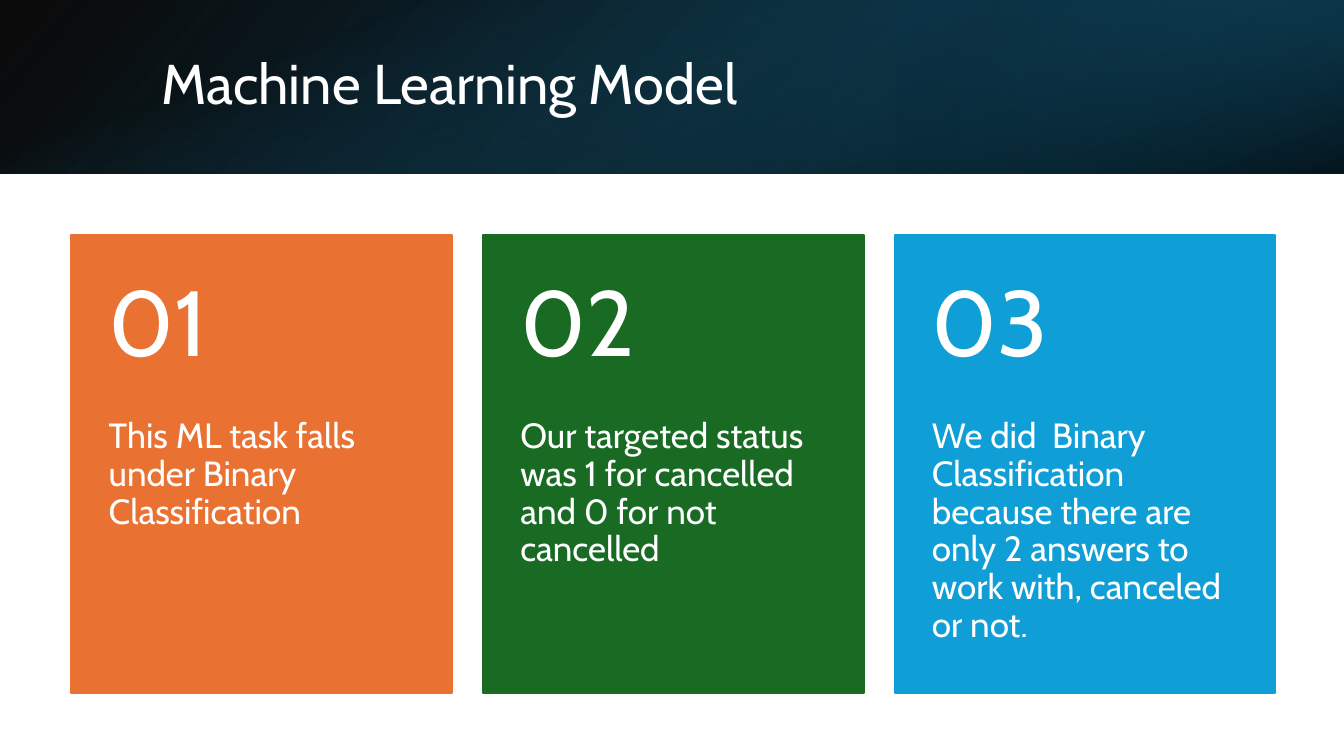
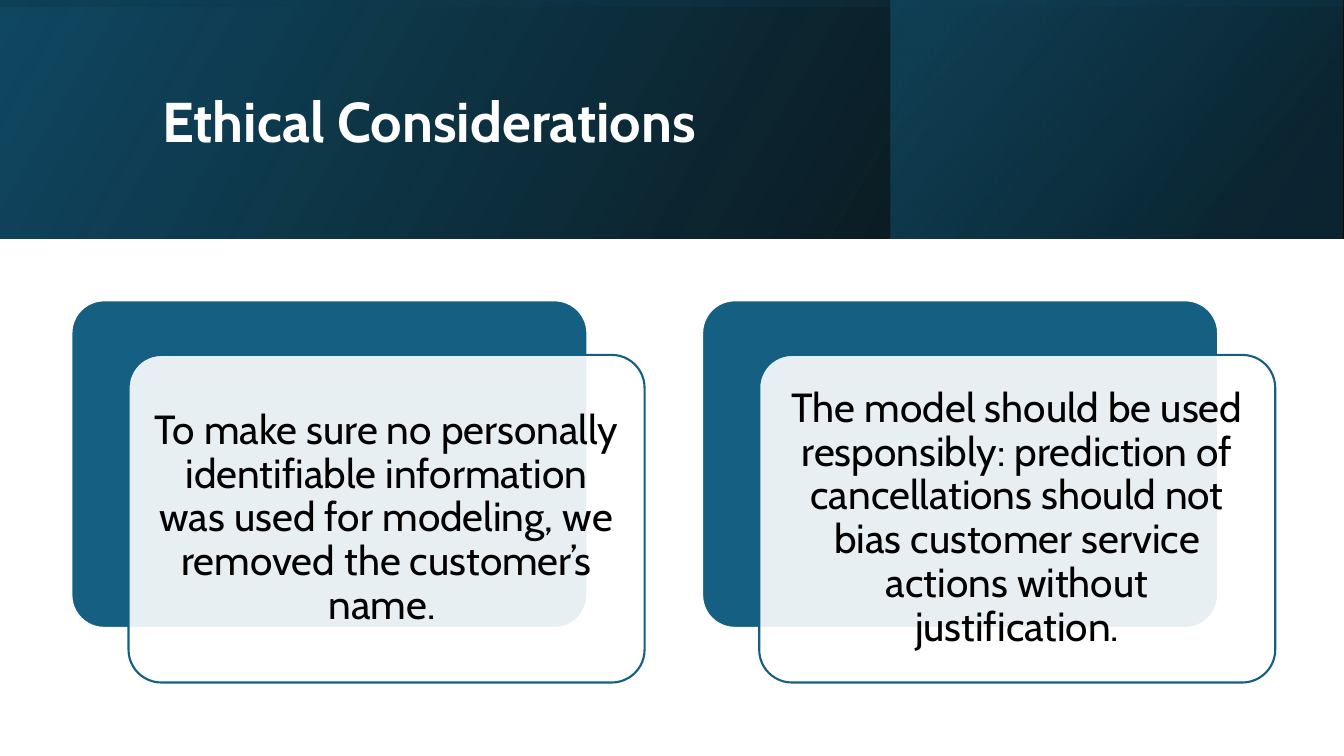
from collections import namedtuple

from lxml import etree
from pptx import Presentation
from pptx.dml.color import RGBColor
from pptx.enum import shapes, text
from pptx.oxml import ns
from pptx.util import Pt

Box = namedtuple("Box", "left top width height")
Blend = namedtuple("Blend", "stops angle")

FONT = "Cabin"
BLACK = RGBColor(0x00, 0x00, 0x00)
WHITE = RGBColor(0xFF, 0xFF, 0xFF)
NAVY = RGBColor(0x10, 0x48, 0x62)
DEEP = RGBColor(0x0B, 0x30, 0x41)
TEAL = RGBColor(0x15, 0x60, 0x82)
ORANGE = RGBColor(0xE9, 0x71, 0x32)
GREEN = RGBColor(0x19, 0x6B, 0x24)
BLUE = RGBColor(0x0F, 0x9E, 0xD5)

PAGE_WIDTH, PAGE_HEIGHT = 960, 540
MARGIN = 51

CARDS = [
    (ORANGE, "This ML task falls under Binary Classification"),
    (GREEN, "Our targeted status was 1 for cancelled and 0 for not cancelled"),
    (BLUE, "We did  Binary Classification because there are only 2 answers "
           "to work with, canceled or not."),
]
CONSIDERATIONS = [
    "To make sure no personally identifiable information was used for "
    "modeling, we removed the customer’s name. ",
    "The model should be used responsibly: prediction of cancellations should "
    "not bias customer service actions without justification.",
]


def in_points(box):
    """Return the four lengths of a box as Pt values."""
    return [Pt(length) for length in box]


def write(frame, words, size, color=WHITE, bold=False, align=text.PP_ALIGN.LEFT,
          anchor=text.MSO_ANCHOR.MIDDLE, insets=(7.2, 3.6, 7.2, 3.6)):
    """Fill a text frame with one formatted paragraph."""
    frame.word_wrap = True
    frame.auto_size = text.MSO_AUTO_SIZE.NONE
    frame.vertical_anchor = anchor
    (frame.margin_left, frame.margin_top,
     frame.margin_right, frame.margin_bottom) = in_points(insets)
    para = frame.paragraphs[0]
    para.alignment = align
    para.line_spacing = 0.9
    para.space_before = Pt(0)
    span = para.add_run()
    span.text = words
    span.font.name = FONT
    span.font.size = Pt(size)
    span.font.bold = bold
    span.font.color.rgb = color


def add_panel(page, box, fill, line=None, kind=shapes.MSO_SHAPE.RECTANGLE):
    """Add a flat preset shape with an optional outline."""
    panel = page.shapes.add_shape(kind, *in_points(box))
    panel.shadow.inherit = False
    panel.fill.solid()
    panel.fill.fore_color.rgb = fill
    if line is None:
        panel.line.fill.background()
    else:
        panel.line.color.rgb = line
        panel.line.width = Pt(1.5)
    return panel


def set_alpha(color_element, percent):
    """Give a colour element an opacity."""
    alpha = etree.SubElement(color_element, ns.qn("a:alpha"))
    alpha.set("val", str(percent * 1000))


def add_blend(page, box, blend, turn=0, flip=True):
    """Add a gradient rectangle that covers the box after its turn."""
    if turn % 180:
        shift = (box.width - box.height) / 2
        box = Box(box.left + shift, box.top - shift, box.height, box.width)
    panel = add_panel(page, box, WHITE)
    panel.rotation = turn
    props = panel._element.spPr
    if flip:
        props.find(ns.qn("a:xfrm")).set("flipH", "1")
    gradient = etree.Element(ns.qn("a:gradFill"))
    stop_list = etree.SubElement(gradient, ns.qn("a:gsLst"))
    for position, color, opacity in blend.stops:
        stop = etree.SubElement(stop_list, ns.qn("a:gs"), pos=str(position * 1000))
        shade = etree.SubElement(stop, ns.qn("a:srgbClr"), val=str(color))
        set_alpha(shade, opacity)
    etree.SubElement(gradient, ns.qn("a:lin"),
                     ang=str(blend.angle * 60000), scaled="0")
    props.replace(props.find(ns.qn("a:solidFill")), gradient)


def add_header(page, box, corner, base, side, wash, side_turn, wash_turn, wash_flip):
    """Stack three gradients: the full band, its right part and a wash."""
    add_blend(page, box, base)
    add_blend(page, corner, side, turn=side_turn)
    add_blend(page, box, wash, turn=wash_turn, flip=wash_flip)


def place_title(page, words, box, bold=False):
    """Move the title in front of the header and format it."""
    title = page.shapes.title
    title.left, title.top, title.width, title.height = in_points(box)
    page.shapes._spTree.append(title._element)
    write(title.text_frame, words, size=40, bold=bold)


def add_card(page, box, number, color, words):
    """Add a coloured card with a large number above its text."""
    add_panel(page, box, color, line=color)
    split = box.height * 0.4
    body = box._replace(top=box.top + split, height=box.height - split)
    body_frame = page.shapes.add_textbox(*in_points(body)).text_frame
    write(body_frame, words, size=25, anchor=text.MSO_ANCHOR.TOP,
          insets=(26.7, 0, 26.7, 26))
    head = box._replace(height=split)
    head_frame = page.shapes.add_textbox(*in_points(head)).text_frame
    write(head_frame, f"{number:02}", size=66, insets=(26.7, 13, 26.7, 13))


def add_consideration(page, box, words):
    """Add a solid rounded plate with an offset translucent text plate."""
    rounded = shapes.MSO_SHAPE.ROUNDED_RECTANGLE
    front_box = box._replace(left=box.left + 40.8, top=box.top + 39)
    back = add_panel(page, box, TEAL, line=WHITE, kind=rounded)
    front = add_panel(page, front_box, WHITE, line=TEAL, kind=rounded)
    for plate in (back, front):
        plate.adjustments[0] = 0.1
    fill = front._element.spPr.find(ns.qn("a:solidFill"))
    set_alpha(fill[0], 90)
    inset = 15.5 - box.height * 0.1 * 0.29
    write(front.text_frame, words, size=29, color=BLACK,
          align=text.PP_ALIGN.CENTER, insets=(inset,) * 4)


def build_model_page(page):
    """Build the slide with three numbered cards."""
    header = Box(0, 0, PAGE_WIDTH, 124)
    add_header(page, header, Box(640, 0, 320, header.height),
               base=Blend([(0, BLACK, 96), (100, NAVY, 100)], 140),
               side=Blend([(19, DEEP, 68), (100, TEAL, 79)], 320),
               wash=Blend([(23, TEAL, 0), (99, BLACK, 74)], 340),
               side_turn=180, wash_turn=90, wash_flip=False)
    place_title(page, "Machine Learning Model", Box(108, 27, 790, 69))
    width, gap = 272, 22
    for index, (color, words) in enumerate(CARDS):
        box = Box(MARGIN + index * (width + gap), 168, width, 327)
        add_card(page, box, index + 1, color, words)


def build_ethics_page(page):
    """Build the slide with two layered text plates."""
    header = Box(0, 0, PAGE_WIDTH, 170.6)
    add_header(page, header, Box(636.5, 0, 322.5, header.height),
               base=Blend([(0, BLACK, 96), (100, NAVY, 100)], 330),
               side=Blend([(19, DEEP, 68), (100, TEAL, 48)], 320),
               wash=Blend([(23, NAVY, 16), (99, BLACK, 45)], 350),
               side_turn=0, wash_turn=270, wash_flip=True)
    place_title(page, "Ethical Considerations", Box(109, 27, 765, 124), bold=True)
    for index, words in enumerate(CONSIDERATIONS):
        box = Box(MARGIN + index * 450.5, 214.5, 368.6, 234)
        add_consideration(page, box, words)


def main():
    """Create the deck and save it."""
    deck = Presentation()
    deck.slide_width, deck.slide_height = Pt(PAGE_WIDTH), Pt(PAGE_HEIGHT)
    title_only = deck.slide_layouts[5]
    for build in (build_model_page, build_ethics_page):
        build(deck.slides.add_slide(title_only))
    deck.save("out.pptx")


if __name__ == "__main__":
    main()
